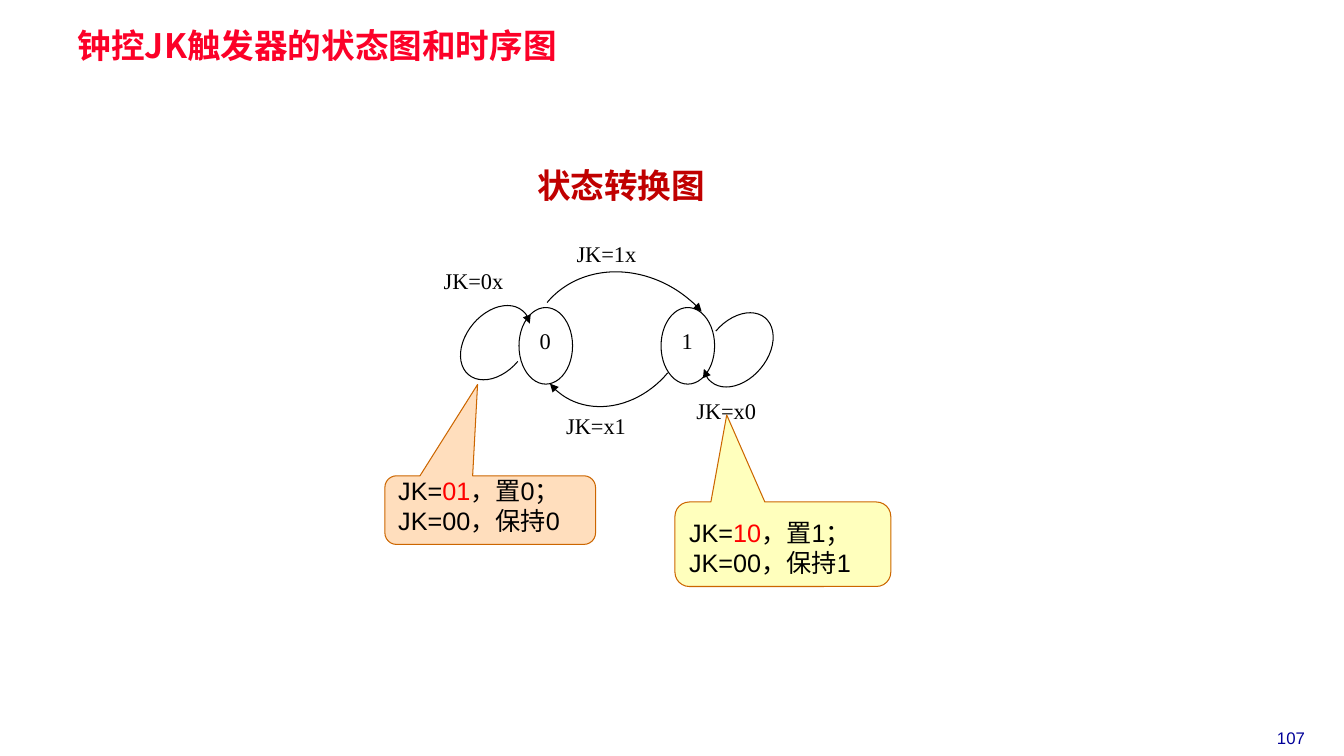
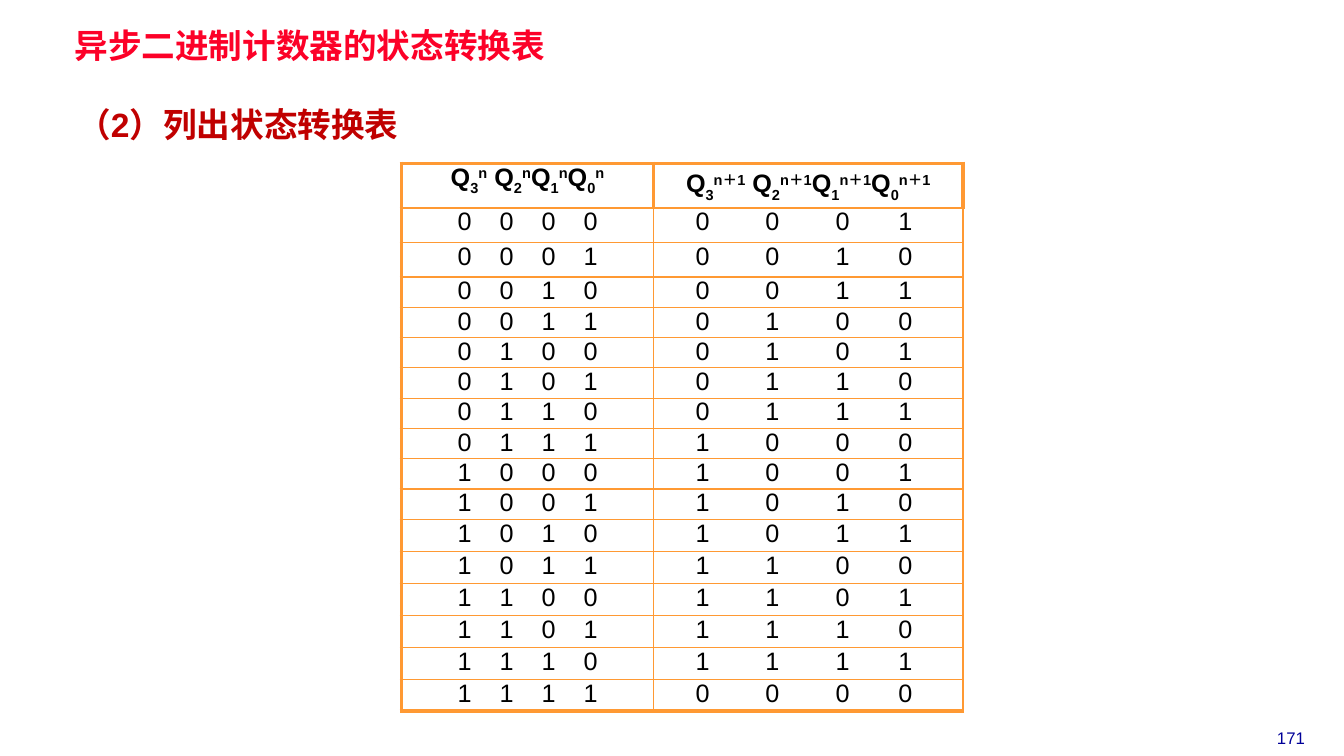
from dataclasses import dataclass
from typing import Any, NamedTuple

import pptx
import pptx.dml.color
import pptx.enum.shapes
import pptx.enum.text
import pptx.oxml
import pptx.oxml.ns
import pptx.util

Cm = pptx.util.Cm
Pt = pptx.util.Pt
Align = pptx.enum.text.PP_ALIGN
Anchor = pptx.enum.text.MSO_ANCHOR
Preset = pptx.enum.shapes.MSO_SHAPE


# Shared theme
@dataclass(frozen=True)
class Theme:
    title: str = "FC0128"
    heading: str = "C00000"
    number: str = "000099"
    ink: str = "000000"
    accent: str = "FF0000"
    callout_line: str = "CC6600"
    peach: str = "FFDEBD"
    yellow: str = "FFFFBD"
    grid: str = "FF9933"
    sans: str = "Arial"
    serif: str = "Times New Roman"
    chinese: str = "Noto Sans CJK SC"
    heading_size: int = 24
    body_size: int = 18
    label_size: int = 16
    number_size: int = 12
    thin: float = 0.75
    grid_thin: float = 1
    grid_thick: float = 3


THEME = Theme()


class TextStyle(NamedTuple):
    size: int
    color: str
    font: str
    bold: bool = False


TITLE = TextStyle(THEME.heading_size, THEME.title, THEME.chinese, True)
HEADING = TextStyle(THEME.heading_size, THEME.heading, THEME.sans, True)
NUMBER = TextStyle(THEME.number_size, THEME.number, THEME.sans)
LABEL = TextStyle(THEME.label_size, THEME.ink, THEME.serif)
BODY = TextStyle(THEME.body_size, THEME.ink, THEME.sans)
HEADER = BODY._replace(bold=True)
ACCENT = BODY._replace(color=THEME.accent)


# Lengths in centimetres
class Box(NamedTuple):
    left: float
    top: float
    width: float
    height: float

    def lengths(self) -> list[int]:
        return [Cm(value) for value in self]


class Label(NamedTuple):
    text: str
    box: Box
    style: TextStyle = LABEL
    align: Any = Align.LEFT
    line_spacing: float = 1.0


class Arc(NamedTuple):
    box: Box
    rotation: float
    end_angle: float


class Callout(NamedTuple):
    box: Box
    fill: str
    pointer: tuple[float, float]
    bits: str
    state: str


class StateColumn(NamedTuple):
    width: float
    superscript: str
    first_digit: float
    tabs: tuple[float, ...]


# Content of the state diagram
STATES = [("0", Box(13.08, 7.75, 1.35, 1.93)), ("1", Box(16.66, 7.75, 1.35, 1.93))]
ARC_START = 270
ARCS = [
    Arc(Box(13.3, 6.43, 4.29, 3.61), 130, 7.9),
    Arc(Box(13.49, 6.66, 4.72, 5.38), 310, 10.7),
    Arc(Box(17.55, 8.08, 2.11, 1.47), 310, 201),
    Arc(Box(11.43, 7.9, 2.11, 1.47), 130, 201),
]
LABELS = [
    Label("JK=1x", Box(14.28, 5.92, 2.9, 0.94)),
    Label("JK=x1", Box(14.02, 10.26, 2.9, 0.94)),
    Label("JK=x0", Box(17.3, 9.88, 3.35, 0.94)),
    Label("JK=0x", Box(10.93, 6.6, 3.35, 0.94)),
]
CALLOUTS = [
    Callout(Box(17.01, 12.65, 5.44, 2.13), THEME.yellow, (-0.26, -1.53), "10", "1"),
    Callout(Box(9.7, 11.99, 5.31, 1.73), THEME.peach, (-0.06, -1.83), "01", "0"),
]

# Content of the state table
COLUMNS = [StateColumn(6.35, "n", 1.41, (1.06, 2.12, 3.18)),
           StateColumn(7.8, "n＋1", 1.06, (1.76, 3.53, 5.11))]
ROW_HEIGHTS = [1.12] + [0.87] * 2 + [0.76] * 8 + [0.81] * 3 + [0.8] * 3
STATE_COUNT = 16


# Formatting helpers
def apply_format(target: Any, values: dict[str, Any]) -> None:
    for name, value in values.items():
        setattr(target, name, value)


def rgb(color: str) -> pptx.dml.color.RGBColor:
    return pptx.dml.color.RGBColor.from_string(color)


def add_run(paragraph: Any, text: str, style: TextStyle, baseline: int = 0) -> None:
    run = paragraph.add_run()
    run.text = text
    apply_format(run.font, {"size": Pt(style.size), "bold": style.bold, "name": style.font})
    run.font.color.rgb = rgb(style.color)
    properties = run.font._element
    east_asian = properties.makeelement(
        pptx.oxml.ns.qn("a:ea"), {"typeface": THEME.chinese})
    properties.find(pptx.oxml.ns.qn("a:latin")).addnext(east_asian)
    if baseline:
        properties.set("baseline", str(baseline * 1000))


def style_shape(shape: Any, color: str, fill: str | None = None) -> None:
    shape.shadow.inherit = False
    if fill:
        shape.fill.solid()
        shape.fill.fore_color.rgb = rgb(fill)
    else:
        shape.fill.background()
    shape.line.color.rgb = rgb(color)
    shape.line.width = Pt(THEME.thin)


# Shared slide parts
def add_label(slide: Any, label: Label) -> None:
    frame = slide.shapes.add_textbox(*label.box.lengths()).text_frame
    apply_format(frame, {"word_wrap": True, "vertical_anchor": Anchor.MIDDLE})
    paragraph = frame.paragraphs[0]
    apply_format(paragraph, {"alignment": label.align, "line_spacing": label.line_spacing})
    add_run(paragraph, label.text, label.style)


def add_titled_slide(presentation: Any, text: str, number: str, left: float) -> Any:
    slide = presentation.slides.add_slide(presentation.slide_layouts[5])
    title = slide.shapes.title
    box = Box(left, 0.69, 14.6, 1.04)
    apply_format(title, dict(zip(box._fields, box.lengths())))
    apply_format(title.text_frame, {
        "margin_left": Cm(0.18), "margin_right": Cm(0.18),
        "margin_top": Cm(0.08), "margin_bottom": Cm(0.08),
        "word_wrap": True, "auto_size": pptx.enum.text.MSO_AUTO_SIZE.NONE,
        "vertical_anchor": Anchor.MIDDLE})
    paragraph = title.text_frame.paragraphs[0]
    apply_format(paragraph, {"alignment": Align.LEFT, "line_spacing": 0.87, "space_before": Pt(0)})
    add_run(paragraph, text, TITLE)
    add_label(slide, Label(number, Box(31.34, 18.21, 2.39, 0.76), NUMBER, Align.CENTER))
    return slide


# State diagram parts
def add_state(slide: Any, name: str, box: Box) -> None:
    shape = slide.shapes.add_shape(Preset.OVAL, *box.lengths())
    style_shape(shape, THEME.ink)
    name_box = Box(box.left + 0.27, box.top + 0.58, 1.12, 0.69)
    add_label(slide, Label(name, name_box, line_spacing=0.64))


def add_arc_arrow(slide: Any, arc: Arc) -> None:
    shape = slide.shapes.add_shape(Preset.ARC, *arc.box.lengths())
    shape.rotation = arc.rotation
    # Angles are stored in 60000ths of a degree, adjustments in 100000ths
    for index, angle in enumerate((ARC_START, arc.end_angle)):
        shape.adjustments[index] = angle * 0.6
    style_shape(shape, THEME.ink)
    line = shape.line._get_or_add_ln()
    line.append(line.makeelement(pptx.oxml.ns.qn("a:tailEnd"), {"type": "triangle"}))


def add_callout(slide: Any, callout: Callout) -> None:
    shape = slide.shapes.add_shape(Preset.ROUNDED_RECTANGULAR_CALLOUT, *callout.box.lengths())
    for index, value in enumerate((*callout.pointer, 0.17)):
        shape.adjustments[index] = value
    style_shape(shape, THEME.callout_line, callout.fill)
    apply_format(shape.text_frame, {"word_wrap": True, "vertical_anchor": Anchor.BOTTOM})
    paragraph = shape.text_frame.paragraphs[0]
    paragraph.alignment = Align.LEFT
    add_run(paragraph, "JK=", BODY)
    add_run(paragraph, callout.bits, ACCENT)
    add_run(paragraph, f"，置{callout.state}；JK=00，保持{callout.state}", BODY)


# State table parts
def style_cell(cell: Any, borders: dict[str, float], margin_left: float = 0) -> None:
    apply_format(cell, {"margin_left": Cm(margin_left), "margin_right": 0,
                        "margin_top": 0, "margin_bottom": 0})
    properties = cell._tc.get_or_add_tcPr()
    for side in "LRTB":
        width = Pt(borders.get(side, THEME.grid_thin))
        properties.append(pptx.oxml.parse_xml(
            f'<a:ln{side} {pptx.oxml.ns.nsdecls("a")} w="{width}"><a:solidFill>'
            f'<a:srgbClr val="{THEME.grid}"/></a:solidFill></a:ln{side}>'))
    cell.fill.background()


def fill_header(cell: Any, superscript: str) -> None:
    paragraph = cell.text_frame.paragraphs[0]
    paragraph.alignment = Align.CENTER
    for bit in (3, 2, 1, 0):
        add_run(paragraph, " Q" if bit == 2 else "Q", HEADER)
        add_run(paragraph, str(bit), HEADER, -30)
        add_run(paragraph, superscript, HEADER, 30)


def fill_digits(cell: Any, value: int, tabs: tuple[float, ...]) -> None:
    paragraph = cell.text_frame.paragraphs[0]
    stops = "".join(f'<a:tab pos="{Cm(stop)}" algn="l"/>' for stop in tabs)
    paragraph._p.get_or_add_pPr().append(pptx.oxml.parse_xml(
        f'<a:tabLst {pptx.oxml.ns.nsdecls("a")}>{stops}</a:tabLst>'))
    add_run(paragraph, "\t".join(f"{value:04b}"), BODY)


def add_state_table(slide: Any) -> None:
    box = Box(10.12, 4.12, sum(column.width for column in COLUMNS), sum(ROW_HEIGHTS))
    table = slide.shapes.add_table(len(ROW_HEIGHTS), len(COLUMNS), *box.lengths()).table
    apply_format(table, {"first_row": False, "horz_banding": False})
    for row, height in zip(table.rows, ROW_HEIGHTS):
        row.height = Cm(height)
    thick = THEME.grid_thick
    for index, column in enumerate(COLUMNS):
        table.columns[index].width = Cm(column.width)
        header = table.cell(0, index)
        style_cell(header, dict.fromkeys("LRT", thick))
        fill_header(header, column.superscript)
        for state in range(STATE_COUNT):
            cell = table.cell(state + 1, index)
            borders = {"L": thick} if index == 0 else {}
            if state == STATE_COUNT - 1:
                borders["B"] = thick
            style_cell(cell, borders, column.first_digit)
            fill_digits(cell, (state + index) % STATE_COUNT, column.tabs)


def main() -> None:
    presentation = pptx.Presentation()
    apply_format(presentation, {"slide_width": Cm(33.87), "slide_height": Cm(19.05)})

    # State diagram slide
    slide = add_titled_slide(presentation, "钟控JK触发器的状态图和时序图", "107", 1.78)
    add_label(slide, Label("状态转换图", Box(13, 4.03, 5.31, 1.27), HEADING, Align.CENTER))
    for name, box in STATES:
        add_state(slide, name, box)
    for arc in ARCS:
        add_arc_arrow(slide, arc)
    for label in LABELS:
        add_label(slide, label)
    for callout in CALLOUTS:
        add_callout(slide, callout)

    # State table slide
    slide = add_titled_slide(presentation, "异步二进制计数器的状态转换表", "171", 1.7)
    add_label(slide, Label("（2）列出状态转换表", Box(1.7, 2.49, 9.93, 1.27), HEADING))
    add_state_table(slide)

    presentation.save("out.pptx")


if __name__ == "__main__":
    main()
